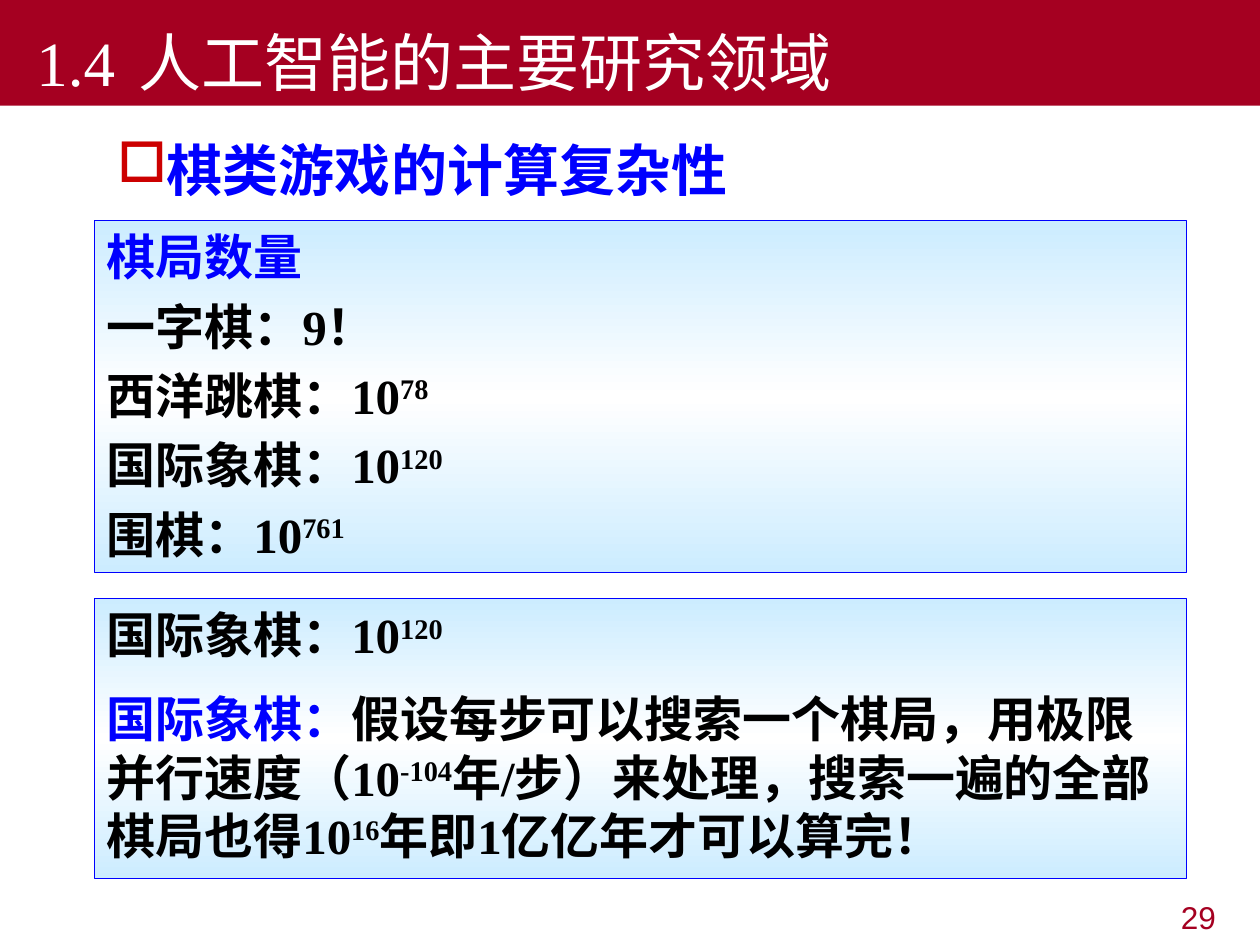
from dataclasses import dataclass

from lxml.etree import SubElement
from pptx import Presentation
from pptx.dml.color import RGBColor
from pptx.enum.lang import MSO_LANGUAGE_ID
from pptx.enum.shapes import MSO_SHAPE
from pptx.enum.text import MSO_ANCHOR, MSO_AUTO_SIZE, PP_ALIGN
from pptx.oxml.ns import qn
from pptx.util import Cm, Pt


@dataclass(frozen=True)
class Theme:
    banner: str = "A50021"
    bullet: str = "CC0000"
    accent: str = "0000FF"
    ink: str = "000000"
    white: str = "FFFFFF"
    tint: str = "CCECFF"
    title_size: int = 36
    heading_size: int = 32
    body_size: int = 28
    number_size: int = 18
    serif: str = "Times New Roman"
    sans: str = "Arial"
    chinese: str = "Noto Sans CJK SC"


THEME = Theme()


@dataclass(frozen=True)
class Box:
    """A rectangle in centimetres."""
    left: float
    top: float
    width: float
    height: float

    def lengths(self):
        return [Cm(v) for v in (self.left, self.top, self.width, self.height)]


def apply_format(target, values):
    for name, value in values.items():
        setattr(target, name, value)


def add_span(para, text, size, color, face=THEME.serif, bold=False, raised=False):
    span = para.add_run()
    span.text = text
    apply_format(span.font, {
        "name": face, "size": Pt(size), "bold": bold,
        "language_id": MSO_LANGUAGE_ID.SIMPLIFIED_CHINESE,
    })
    span.font.color.rgb = RGBColor.from_string(color)
    properties = span._r.get_or_add_rPr()
    SubElement(properties, qn("a:ea"), typeface=THEME.chinese)
    if raised:
        properties.set("baseline", "30000")


def add_title(page, box, number, text):
    title = page.shapes.title
    left, top, width, height = box.lengths()
    apply_format(title, {"left": left, "top": top, "width": width, "height": height})
    title.fill.solid()
    title.fill.fore_color.rgb = RGBColor.from_string(THEME.banner)
    apply_format(title.text_frame, {
        "vertical_anchor": MSO_ANCHOR.BOTTOM, "auto_size": MSO_AUTO_SIZE.NONE,
    })
    para = title.text_frame.paragraphs[0]
    para.alignment = PP_ALIGN.LEFT
    properties = para._p.get_or_add_pPr()
    apply_indent(properties, 0, 0.48)
    tabs = SubElement(properties, qn("a:tabLst"))
    SubElement(tabs, qn("a:tab"), pos=str(Cm(3.03)), algn="l")
    add_span(para, f"{number}\t{text}", THEME.title_size, THEME.white)


def apply_indent(properties, margin, first_line):
    properties.set("marL", str(Cm(margin)))
    properties.set("indent", str(Cm(first_line)))


def add_heading(page, box, text):
    frame = page.shapes.add_textbox(*box.lengths()).text_frame
    frame.word_wrap = True
    para = frame.paragraphs[0]
    properties = para._p.get_or_add_pPr()
    apply_indent(properties, 0.89, -0.89)
    color = SubElement(properties, qn("a:buClr"))
    SubElement(color, qn("a:srgbClr"), val=THEME.bullet)
    SubElement(properties, qn("a:buChar"), char="□")
    apply_format(para, {"alignment": PP_ALIGN.JUSTIFY, "line_spacing": 1.2})
    add_span(para, text, THEME.heading_size, THEME.accent, THEME.chinese, bold=True)


def fill_with_band(shape):
    """Fill from tint through white and back to tint, top to bottom."""
    shape.fill.gradient()
    gradient = shape._element.spPr.find(qn("a:gradFill"))
    stops = gradient.find(qn("a:gsLst"))
    for stop in list(stops):
        stops.remove(stop)
    for percent, color in ((0, THEME.tint), (50, THEME.white), (100, THEME.tint)):
        stop = SubElement(stops, qn("a:gs"), pos=str(percent * 1000))
        SubElement(stop, qn("a:srgbClr"), val=color)
    gradient.find(qn("a:lin")).set("ang", str(90 * 60000))


def add_panel(page, box, paragraphs, gap):
    """Each paragraph is a list of (text, colour, raised) spans."""
    panel = page.shapes.add_shape(MSO_SHAPE.RECTANGLE, *box.lengths())
    panel.shadow.inherit = False
    fill_with_band(panel)
    panel.line.color.rgb = RGBColor.from_string(THEME.accent)
    panel.line.width = Pt(0.75)
    frame = panel.text_frame
    apply_format(frame, {
        "word_wrap": True, "vertical_anchor": MSO_ANCHOR.TOP,
        "auto_size": MSO_AUTO_SIZE.SHAPE_TO_FIT_TEXT,
    })
    for index, spans in enumerate(paragraphs):
        para = frame.add_paragraph() if index else frame.paragraphs[0]
        apply_format(para, {
            "alignment": PP_ALIGN.LEFT, "space_before": Pt(gap if index else 0),
        })
        for text, color, raised in spans:
            add_span(para, text, THEME.body_size, color, bold=True, raised=raised)


def add_page_number(page, box, number):
    frame = page.shapes.add_textbox(*box.lengths()).text_frame
    frame.word_wrap = True
    para = frame.paragraphs[0]
    para.alignment = PP_ALIGN.RIGHT
    add_span(para, number, THEME.number_size, THEME.banner, THEME.sans)


def plain(text):
    return text, THEME.ink, False


def power(text):
    return text, THEME.ink, True


def label(text):
    return text, THEME.accent, False


def main():
    deck = Presentation()
    apply_format(deck, {"slide_width": Cm(25.4), "slide_height": Cm(19.05)})
    page = deck.slides.add_slide(deck.slide_layouts[5])

    add_title(page, Box(0, 0, 25.4, 2.13), "1.4", "人工智能的主要研究领域")
    add_heading(page, Box(2.11, 2.34, 20.75, 1.7), "棋类游戏的计算复杂性")

    chess = [plain("国际象棋：10"), power("120")]
    counts = [
        [label("棋局数量")],
        [plain("一字棋：9！")],
        [plain("西洋跳棋：10"), power("78")],
        chess,
        [plain("围棋：10"), power("761")],
    ]
    estimate = [
        label("国际象棋："),
        plain("假设每步可以搜索一个棋局，用极限并行速度（10"), power("-104"),
        plain("年/步）来处理，搜索一遍的全部棋局也得10"), power("16"),
        plain("年即1亿亿年才可以算完！"),
    ]
    add_panel(page, Box(1.9, 4.45, 22.02, 7.09), counts, gap=6)
    add_panel(page, Box(1.9, 12.07, 22.02, 5.64), [chess, estimate], gap=14)
    add_page_number(page, Box(19.25, 17.98, 5.51, 0.99), "29")

    deck.save("out.pptx")


if __name__ == "__main__":
    main()
